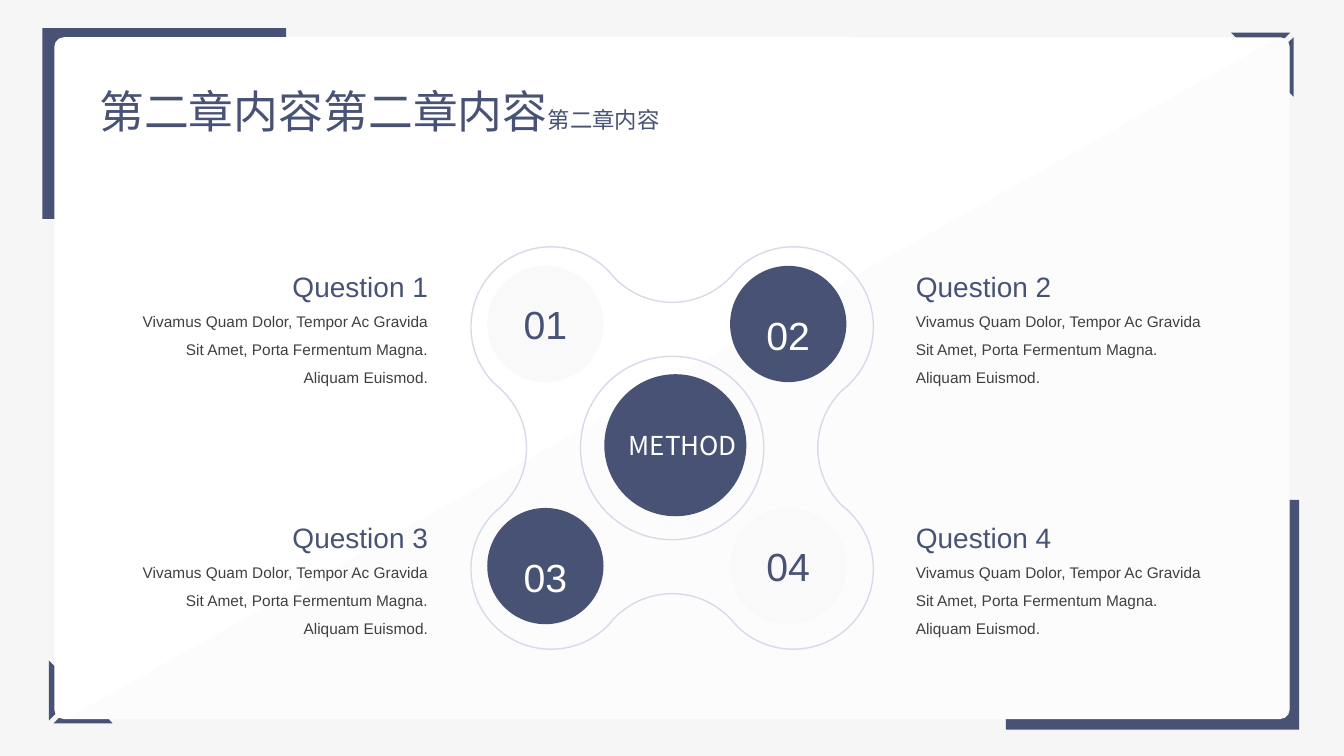
from lxml import etree
from pptx import Presentation
from pptx import util as u
from pptx.dml.color import RGBColor
from pptx.enum import shapes, text
from pptx.oxml.ns import qn

NAVY = RGBColor(0x48, 0x52, 0x75)
WHITE = RGBColor(0xFF, 0xFF, 0xFF)
BACKGROUND = RGBColor(0xF6, 0xF6, 0xF6)
SHADE = RGBColor(0xF2, 0xF2, 0xF2)
PALE = RGBColor(0xF9, 0xF9, 0xF9)
OUTLINE = RGBColor(0xD7, 0xDB, 0xE7)
BODY = RGBColor(0x40, 0x40, 0x40)

LATIN = "Arial"
CHINESE = "Noto Sans CJK SC"
DESCRIPTION = (
    "Vivamus Quam Dolor, Tempor Ac Gravida Sit Amet, "
    "Porta Fermentum Magna. Aliquam Euismod."
)

CENTER_X, CENTER_Y = 16.94, 11.29
CLOVER_QUARTER = [
    [(0.61, 3.67), (1.15, 3.94), (1.52, 4.36)],
    [(1.88, 4.8), (2.44, 5.07), (3.05, 5.07)],
    [(4.17, 5.07), (5.07, 4.17), (5.07, 3.05)],
    [(5.07, 2.44), (4.8, 1.88), (4.36, 1.52)],
    [(3.94, 1.15), (3.67, 0.61), (3.67, 0)],
]
RING_QUARTER = [[(1.28, 2.31), (2.31, 1.28), (2.31, 0)]]
SHADE_CONTOUR = [
    [(32.23, 0.94)],
    [(32.26, 0.94)],
    [(32.4, 0.94), (32.51, 1.04), (32.51, 1.17)],
    [(32.51, 17.88)],
    [(32.51, 18.01), (32.4, 18.11), (32.26, 18.11)],
    [(1.68, 18.11)],
]
LOWER_LEFT_CORNER = [
    [(1.61, 17.02), (1.61, 17.78), (1.23, 18.16), (1.23, 16.64)],
    [(2.84, 18.23), (1.35, 18.23), (1.73, 17.85), (2.49, 17.85)],
]
UPPER_RIGHT_CORNER = [
    [(31.4, 1.2), (32.14, 1.2), (32.52, 0.82), (31.02, 0.82)],
    [(32.6, 2.44), (32.6, 0.94), (32.22, 1.31), (32.22, 2.06)],
]


def paint(shape, fill=None, line=None):
    shape.shadow.inherit = False
    if fill is None:
        shape.fill.background()
    else:
        shape.fill.solid()
        shape.fill.fore_color.rgb = fill
    if line is None:
        shape.line.fill.background()
    else:
        shape.line.color.rgb = line
        shape.line.width = u.Pt(1)


def add_preset(slide, kind, left, top, width, height, fill):
    shape = slide.shapes.add_shape(
        kind, u.Cm(left), u.Cm(top), u.Cm(width), u.Cm(height))
    paint(shape, fill)
    return shape


def add_polygons(slide, contours, fill):
    contours = [[(u.Cm(x), u.Cm(y)) for x, y in contour] for contour in contours]
    builder = slide.shapes.build_freeform(*contours[0][0])
    builder.add_line_segments(contours[0][1:])
    for contour in contours[1:]:
        builder.move_to(*contour[0])
        builder.add_line_segments(contour[1:])
    paint(builder.convert_to_shape(), fill)


def add_curves(slide, contours, fill=None, line=None):
    corners = [(u.Cm(x), u.Cm(y))
               for contour in contours for segment in contour for x, y in segment]
    builder = slide.shapes.build_freeform(*corners[0])
    builder.add_line_segments(corners[1:])
    shape = builder.convert_to_shape()
    outline = next(shape.element.iter(qn("a:path")))
    for child in list(outline):
        outline.remove(child)
    for contour in contours:
        for index, segment in enumerate(contour):
            tag = "a:cubicBezTo" if len(segment) == 3 else "a:lnTo"
            command = etree.SubElement(outline, qn(tag if index else "a:moveTo"))
            for x, y in segment:
                point = etree.SubElement(command, qn("a:pt"))
                point.set("x", str(u.Cm(x) - shape.left))
                point.set("y", str(u.Cm(y) - shape.top))
        etree.SubElement(outline, qn("a:close"))
    paint(shape, fill, line)
    return shape


def rotated_contour(quarter, radius):
    contour = [[(CENTER_X, CENTER_Y - radius)]]
    for _ in range(4):
        contour += [[(CENTER_X + x, CENTER_Y - y) for x, y in curve]
                    for curve in quarter]
        quarter = [[(y, -x) for x, y in curve] for curve in quarter]
    return contour


def add_run(paragraph, words, size, color, font=LATIN):
    run = paragraph.add_run()
    run.text = words
    run.font.size = u.Pt(size)
    run.font.color.rgb = color
    run.font.name = font
    properties = run.font.fill._xPr
    etree.SubElement(properties, qn("a:ea")).set("typeface", CHINESE)


def add_textbox(slide, left, top, width, height, wrap):
    box = slide.shapes.add_textbox(
        u.Cm(left), u.Cm(top), u.Cm(width), u.Cm(height))
    box.text_frame.word_wrap = wrap
    box.text_frame.auto_size = text.MSO_AUTO_SIZE.SHAPE_TO_FIT_TEXT
    return box.text_frame


def add_frame(slide):
    rectangle = shapes.MSO_SHAPE.RECTANGLE
    add_preset(slide, rectangle, 1.07, 0.71, 6.14, 4.81, NAVY)
    add_preset(slide, rectangle, 25.35, 12.6, 7.39, 5.79, NAVY)
    add_polygons(slide, LOWER_LEFT_CORNER, NAVY)
    add_polygons(slide, UPPER_RIGHT_CORNER, NAVY)
    panel = add_preset(slide, shapes.MSO_SHAPE.ROUNDED_RECTANGLE,
                       1.37, 0.94, 31.13, 17.18, WHITE)
    panel.adjustments[0] = 0.014
    shade = add_curves(slide, [SHADE_CONTOUR], SHADE)
    color = shade.element.spPr.find(qn("a:solidFill"))[0]
    etree.SubElement(color, qn("a:alpha")).set("val", "16000")


def add_title(slide):
    title = slide.shapes.title
    slide.shapes.element.append(title.element)
    title.left, title.top = u.Cm(2.25), u.Cm(1.98)
    title.width, title.height = u.Cm(16.08), u.Cm(1.63)
    frame = title.text_frame
    frame.word_wrap = False
    frame.auto_size = text.MSO_AUTO_SIZE.SHAPE_TO_FIT_TEXT
    frame.vertical_anchor = text.MSO_ANCHOR.TOP
    paragraph = frame.paragraphs[0]
    paragraph.alignment = text.PP_ALIGN.LEFT
    add_run(paragraph, "第二章内容第二章内容", 32, NAVY, CHINESE)
    add_run(paragraph, "第二章内容", 16, NAVY)


def add_number(slide, number, left, top, dark):
    circle = add_preset(slide, shapes.MSO_SHAPE.OVAL, left, top, 2.93, 2.93,
                        NAVY if dark else PALE)
    frame = circle.text_frame
    frame.vertical_anchor = text.MSO_ANCHOR.TOP if dark else text.MSO_ANCHOR.MIDDLE
    paragraph = frame.paragraphs[0]
    paragraph.alignment = text.PP_ALIGN.CENTER
    if dark:
        paragraph.line_spacing = 1.5
    add_run(paragraph, f"{number:02}", 28, WHITE if dark else NAVY)


def add_question(slide, number, left, top, alignment):
    frame = add_textbox(slide, left, top, 7.95, 3.66, True)
    heading, description = frame.paragraphs[0], frame.add_paragraph()
    for paragraph in (heading, description):
        paragraph.alignment = alignment
        paragraph.line_spacing = 1.5
    add_run(heading, f"Question {number}", 20, NAVY)
    add_run(description, DESCRIPTION, 11, BODY)


def add_hub(slide):
    add_preset(slide, shapes.MSO_SHAPE.OVAL, 15.23, 9.43, 3.58, 3.58, NAVY)
    paragraph = add_textbox(slide, 15.24, 10.69, 3.58, 1.04, False).paragraphs[0]
    paragraph.alignment = text.PP_ALIGN.RIGHT
    add_run(paragraph, "METHOD", 18.6, WHITE, CHINESE)


def main():
    presentation = Presentation()
    presentation.slide_width, presentation.slide_height = u.Cm(33.87), u.Cm(19.05)
    slide = presentation.slides.add_slide(presentation.slide_layouts[5])
    slide.background.fill.solid()
    slide.background.fill.fore_color.rgb = BACKGROUND
    add_frame(slide)
    add_title(slide)
    add_curves(slide, [rotated_contour(CLOVER_QUARTER, 3.67),
                       rotated_contour(RING_QUARTER, 2.31)], line=OUTLINE)
    columns = ((12.28, 3.09, text.PP_ALIGN.RIGHT), (18.4, 22.83, text.PP_ALIGN.LEFT))
    rows = ((6.7, 6.25), (12.8, 12.57))
    for row, (circle_top, question_top) in enumerate(rows):
        for column, (circle_left, question_left, alignment) in enumerate(columns):
            number = 2 * row + column + 1
            add_number(slide, number, circle_left, circle_top, number in (2, 3))
            add_question(slide, number, question_left, question_top, alignment)
    add_hub(slide)
    presentation.save("out.pptx")


if __name__ == "__main__":
    main()
